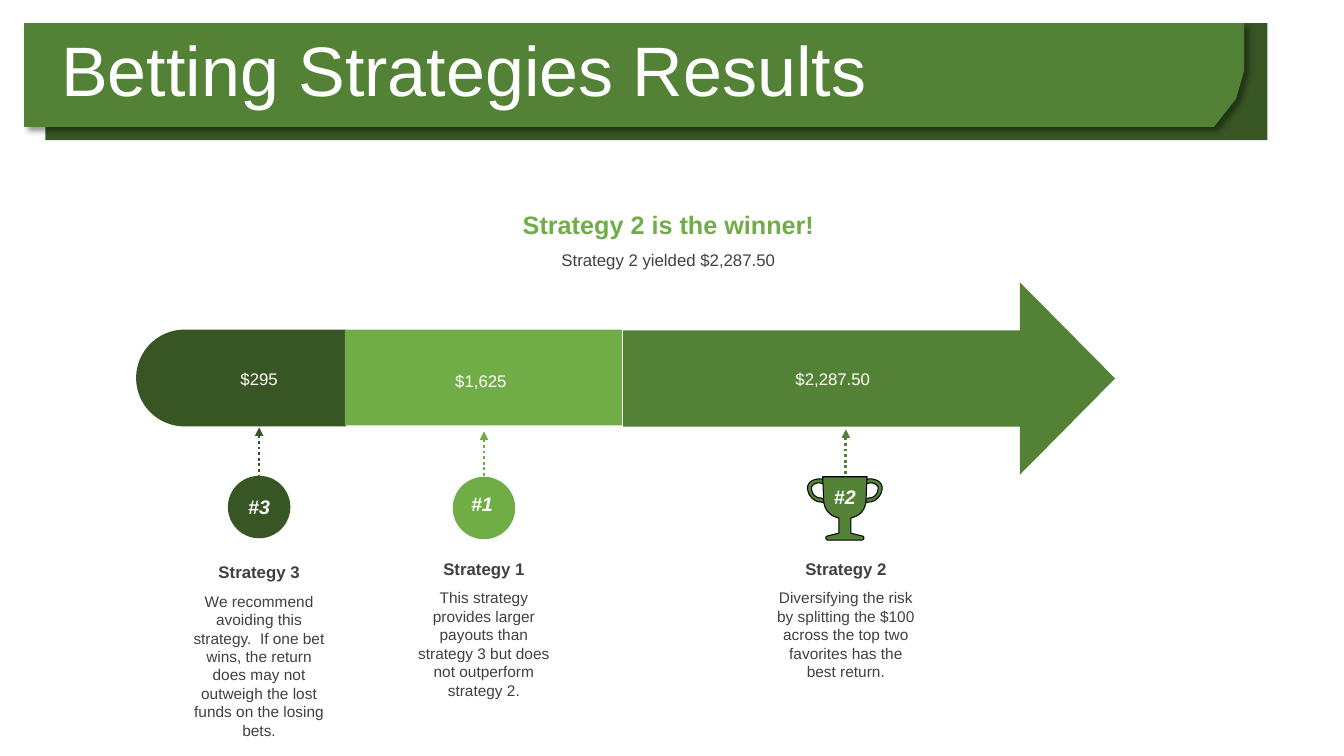
import dataclasses

import lxml.etree
import pptx
import pptx.dml.color
import pptx.enum.dml
import pptx.enum.shapes
import pptx.enum.text
import pptx.oxml.ns
import pptx.util

Inches = pptx.util.Inches
SHAPES = pptx.enum.shapes.MSO_SHAPE
ALIGN = pptx.enum.text.PP_ALIGN
ANCHOR = pptx.enum.text.MSO_ANCHOR


@dataclasses.dataclass(frozen=True)
class Theme:
    font: str = "Arial"
    dark: str = "375623"
    light: str = "70AD47"
    green: str = "538135"
    white: str = "FFFFFF"
    ink: str = "404040"
    black: str = "000000"
    title: int = 50
    headline: int = 18
    rank: int = 14
    label: int = 12
    body: int = 11


@dataclasses.dataclass(frozen=True)
class Strategy:
    name: str
    advice: str
    advice_height: float
    amount: str
    amount_centre: float
    amount_top: float
    centre: float
    pointer_top: float
    name_top: float
    colour: str


THEME = Theme()
CUP_AXIS = 8.38
CUP_TOP = 4.73
HANDLE_OUTER = [(8.38, 4.82), (8.62, 4.75), (8.69, 4.75, 8.75, 4.78, 8.75, 4.84),
                (8.75, 4.91, 8.69, 4.98, 8.62, 4.98), (8.38, 5.04)]
HANDLE_INNER = [(8.38, 4.86), (8.63, 4.79), (8.67, 4.79, 8.71, 4.81, 8.71, 4.84),
                (8.71, 4.9, 8.67, 4.94, 8.62, 4.94), (8.38, 5)]
CUP = [(8.6, CUP_TOP), (8.59, 4.96), (8.59, 5.04, 8.54, 5.11, 8.47, 5.13), (8.44, 5.14),
       (8.44, 5.29), (8.56, 5.32), (8.57, 5.32, 8.58, 5.36, 8.54, 5.36)]
BANNER = [(0.24, 0.23), (12.34, 0.23), (12.34, 0.7), (12.26, 0.98), (12.04, 1.26), (0.24, 1.26)]

STRATEGIES = [
    Strategy("Strategy 3",
             "We recommend avoiding this strategy.  If one bet wins, the return does may not "
             "outweigh the lost funds on the losing bets.",
             1.58, "$295", 2.57, 3.61, 2.57, 4.24, 5.52, THEME.dark),
    Strategy("Strategy 1",
             "This strategy provides larger payouts than strategy 3 but does not outperform "
             "strategy 2.",
             1.23, "$1,625", 4.77, 3.63, 4.8, 4.28, 5.49, THEME.light),
    Strategy("Strategy 2",
             "Diversifying the risk by splitting the $100 across the top two favorites has the "
             "best return.",
             1.03, "$2,287.50", 8.26, 3.61, 8.39, 4.26, 5.49, THEME.green),
]


def rgb(colour):
    return pptx.dml.color.RGBColor.from_string(colour)


def paint(shape, colour, outline=None):
    shape.shadow.inherit = False
    shape.fill.solid()
    shape.fill.fore_color.rgb = rgb(colour)
    if outline:
        shape.line.color.rgb = rgb(outline)
        shape.line.width = pptx.util.Pt(0.75)
    else:
        shape.line.fill.background()


def write(frame, text, size, colour, bold=False, italic=False,
          align=ALIGN.CENTER, anchor=ANCHOR.TOP, spacing=None):
    frame.text = text
    frame.word_wrap = True
    frame.vertical_anchor = anchor
    paragraph = frame.paragraphs[0]
    paragraph.alignment = align
    if spacing:
        paragraph.line_spacing = spacing
    font = paragraph.runs[0].font
    font.name = THEME.font
    font.size = pptx.util.Pt(size)
    font.color.rgb = rgb(colour)
    font.bold = bold
    font.italic = italic


def add_text(slide, left, top, width, height, text, size, colour, **style):
    box = slide.shapes.add_textbox(Inches(left), Inches(top), Inches(width), Inches(height))
    write(box.text_frame, text, size, colour, **style)


def add_centred(slide, centre, top, width, height, text, size, colour, **style):
    add_text(slide, centre - width / 2, top, width, height, text, size, colour, **style)


def add_block(slide, preset, left, top, width, height, colour, adjustments=()):
    block = slide.shapes.add_shape(
        preset, Inches(left), Inches(top), Inches(width), Inches(height))
    for index, value in enumerate(adjustments):
        block.adjustments[index] = value
    paint(block, colour)
    return block


def add_outline(slide, contours, colour, outline=None):
    emu = [[(Inches(x), Inches(y)) for x, y in contour] for contour in contours]
    builder = slide.shapes.build_freeform(*emu[0][0])
    builder.add_line_segments(emu[0][1:], close=True)
    for contour in emu[1:]:
        builder.move_to(*contour[0])
        builder.add_line_segments(contour[1:], close=True)
    shape = builder.convert_to_shape()
    paint(shape, colour, outline)
    return shape


def mirrored(half, steps=10):
    points = []
    for part in half:
        if len(part) == 2:
            points.append(part)
            continue
        curve = [points[-1], part[:2], part[2:4], part[4:]]
        for step in range(1, steps + 1):
            t = step / steps
            weights = ((1 - t) ** 3, 3 * t * (1 - t) ** 2, 3 * t * t * (1 - t), t ** 3)
            points.append(tuple(sum(w * p[axis] for w, p in zip(weights, curve))
                                for axis in (0, 1)))
    return points + [(2 * CUP_AXIS - x, y) for x, y in reversed(points)]


def add_drop_shadow(shape):
    effects = shape._element.spPr.find(pptx.oxml.ns.qn("a:effectLst"))
    shadow = lxml.etree.SubElement(
        effects, pptx.oxml.ns.qn("a:outerShdw"),
        blurRad=str(pptx.util.Pt(4)), dist=str(pptx.util.Pt(3)), dir="2700000",
        algn="tl", rotWithShape="0")
    tint = lxml.etree.SubElement(shadow, pptx.oxml.ns.qn("a:srgbClr"), val=THEME.black)
    lxml.etree.SubElement(tint, pptx.oxml.ns.qn("a:alpha"), val="40000")


def add_pointer(slide, centre, top, colour):
    pointer = slide.shapes.add_connector(
        pptx.enum.shapes.MSO_CONNECTOR.STRAIGHT,
        Inches(centre), Inches(top), Inches(centre), Inches(top + 0.47))
    pointer.line.color.rgb = rgb(colour)
    pointer.line.width = pptx.util.Pt(2)
    pointer.line.dash_style = pptx.enum.dml.MSO_LINE.ROUND_DOT
    properties = pointer._element.spPr
    lxml.etree.SubElement(properties.find(pptx.oxml.ns.qn("a:ln")),
                          pptx.oxml.ns.qn("a:headEnd"), type="triangle")
    lxml.etree.SubElement(properties, pptx.oxml.ns.qn("a:effectLst"))


def add_title(slide):
    add_block(slide, SHAPES.RECTANGLE, 0.45, 0.23, 12.12, 1.16, THEME.dark)
    add_drop_shadow(add_outline(slide, [BANNER], THEME.green))
    add_text(slide, 0.51, 0.36, 10.98, 0.79, "Betting Strategies Results", THEME.title,
             THEME.white, align=ALIGN.LEFT, anchor=ANCHOR.MIDDLE, spacing=0.8)


def add_payout_arrow(slide):
    tail = add_block(slide, SHAPES.ROUND_2_SAME_RECTANGLE, 1.91, 2.71, 0.96, 2.08,
                     THEME.dark, (0.5, 0))
    tail.rotation = 270
    add_block(slide, SHAPES.RIGHT_ARROW, 6.18, 2.8, 4.88, 1.91, THEME.green, (0.5, 0.495))
    add_block(slide, SHAPES.RECTANGLE, 3.42, 3.27, 2.75, 0.95, THEME.light)


def add_strategy(slide, strategy):
    add_centred(slide, strategy.amount_centre, strategy.amount_top, 1.31, 0.3,
                strategy.amount, THEME.label, THEME.white)
    add_pointer(slide, strategy.centre, strategy.pointer_top, strategy.colour)
    add_centred(slide, strategy.centre, strategy.name_top, 1.57, 0.3,
                strategy.name, THEME.label, THEME.ink, bold=True)
    add_centred(slide, strategy.centre, strategy.name_top + 0.3, 1.57, strategy.advice_height,
                strategy.advice, THEME.body, THEME.ink)


def add_ranks(slide):
    rank = dict(size=THEME.rank, colour=THEME.white, bold=True, italic=True)
    third = add_block(slide, SHAPES.OVAL, 2.26, 4.72, 0.62, 0.62, THEME.dark)
    write(third.text_frame, "#3", anchor=ANCHOR.MIDDLE, **rank)
    add_block(slide, SHAPES.OVAL, 4.49, 4.73, 0.62, 0.62, THEME.light)
    add_outline(slide, [mirrored(HANDLE_OUTER), mirrored(HANDLE_INNER)],
                THEME.green, THEME.black)
    add_outline(slide, [mirrored(CUP)], THEME.green, THEME.black)
    add_centred(slide, 4.78, 4.83, 0.98, 0.34, "#1", **rank)
    add_centred(slide, CUP_AXIS, 4.76, 0.62, 0.34, "#2", **rank)


def main():
    deck = pptx.Presentation()
    deck.slide_width, deck.slide_height = Inches(13.33), Inches(7.5)
    slide = deck.slides.add_slide(deck.slide_layouts[6])
    add_title(slide)
    add_text(slide, 4.23, 1.99, 4.8, 0.44, "Strategy 2 is the winner!", THEME.headline,
             THEME.light, bold=True, anchor=ANCHOR.MIDDLE, spacing=1.1)
    add_text(slide, 4.23, 2.43, 4.8, 0.3, "Strategy 2 yielded $2,287.50", THEME.label, THEME.ink)
    add_payout_arrow(slide)
    for strategy in STRATEGIES:
        add_strategy(slide, strategy)
    add_ranks(slide)
    deck.save("out.pptx")


if __name__ == "__main__":
    main()
